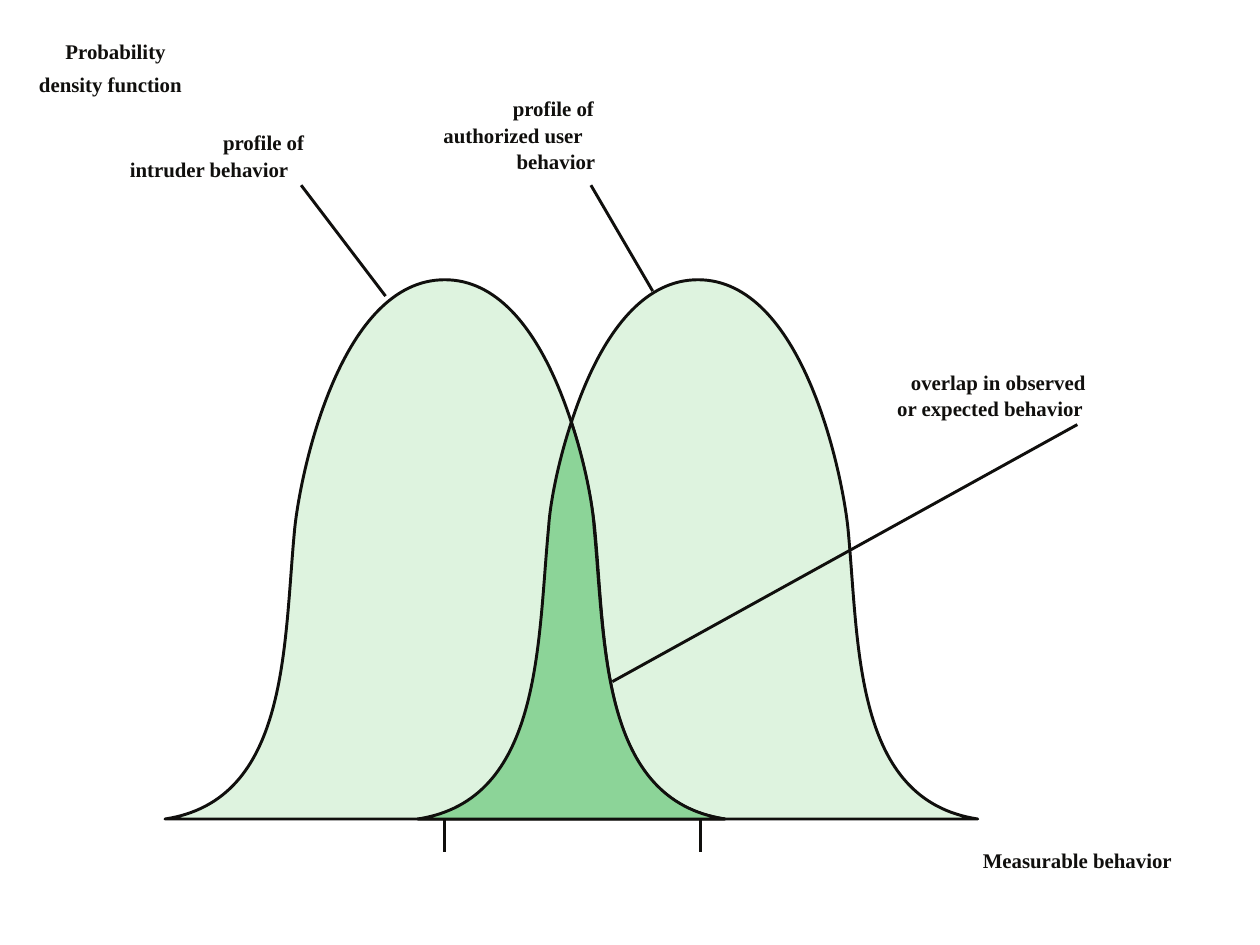
import pptx
import pptx.dml.color
import pptx.enum.shapes
import pptx.oxml
import pptx.oxml.ns
import pptx.util

INK = pptx.dml.color.RGBColor(0x10, 0x0F, 0x0D)
PALE_GREEN = pptx.dml.color.RGBColor(0xDE, 0xF3, 0xDF)
GREEN = pptx.dml.color.RGBColor(0x8C, 0xD4, 0x98)
LINE_WIDTH = pptx.util.Pt(1.67)

presentation = pptx.Presentation()
presentation.slide_width = pptx.util.Inches(10)
presentation.slide_height = pptx.util.Inches(7.5)
slide = presentation.slides.add_slide(presentation.slide_layouts[6])

# The slide is a grid of 10 columns by 7.5 rows with square cells.
CELL = presentation.slide_width // 10
LABEL_HEIGHT = 0.28
BASELINE = 6.5
PEAK = 2.22
INTRUDER_CENTER, USER_CENTER = 3.53, 5.54
OVERLAP_CENTER = (INTRUDER_CENTER + USER_CENTER) / 2
CROSSING = 3.35


def cells(*values):
    """Convert grid cells to EMU."""
    return [round(value * CELL) for value in values]


def add_hill(center, left_side, fill_color):
    """Draw a symmetric hill from (distance, row) points: top, then two Bezier triples."""
    left = [cells(center - distance, row) for distance, row in left_side]
    right = [cells(center + distance, row) for distance, row in reversed(left_side)]
    builder = slide.shapes.build_freeform(*left[0])
    builder.add_line_segments(left[1:] + right, close=True)
    shape = builder.convert_to_shape()

    # Points 0-2 and 3-5 curve down the left, 6 is the base, 7-9 and 10-12 curve up the right.
    segments = shape.element.findall(".//" + pptx.oxml.ns.qn("a:lnTo"))
    for start in (0, 3, 7, 10):
        curve = pptx.oxml.parse_xml(
            "<a:cubicBezTo %s/>" % pptx.oxml.ns.nsdecls("a"))
        segments[start].addprevious(curve)
        for segment in segments[start:start + 3]:
            curve.append(segment[0])
            segment.getparent().remove(segment)

    shape.shadow.inherit = False
    shape.fill.solid()
    shape.fill.fore_color.rgb = fill_color
    shape.line.color.rgb = INK
    shape.line.width = LINE_WIDTH


bell_side = [
    (0, PEAK), (0.82, PEAK), (1.14, 3.72), (1.19, 4.19),
    (1.28, 5.12), (1.23, 6.35), (2.22, BASELINE),
]
overlap_side = [
    (0, CROSSING), (0.11, 3.68), (0.17, 4.01), (0.18, 4.18),
    (0.27, 5.11), (0.23, 6.35), (1.22, BASELINE),
]
add_hill(USER_CENTER, bell_side, PALE_GREEN)
add_hill(INTRUDER_CENTER, bell_side, PALE_GREEN)
add_hill(OVERLAP_CENTER, overlap_side, GREEN)

# Axis ticks, then leaders from the labels to the curves
lines = [
    (3.53, 6.76, 3.53, 6.49),
    (5.56, 6.76, 5.56, 6.49),
    (2.39, 1.47, 3.06, 2.35),
    (4.69, 1.47, 5.18, 2.31),
    (8.55, 3.37, 4.86, 5.41),
]
for ends in lines:
    connector = slide.shapes.add_connector(
        pptx.enum.shapes.MSO_CONNECTOR.STRAIGHT, *cells(*ends))
    connector.line.color.rgb = INK
    connector.line.width = LINE_WIDTH
    connector.element.spPr.append(pptx.oxml.parse_xml(
        "<a:effectLst %s/>" % pptx.oxml.ns.nsdecls("a")))

labels = [
    ("Probability", 0.52, 0.31, 0.96),
    ("density function", 0.31, 0.57, 1.36),
    ("profile of", 1.77, 1.03, 0.78),
    ("intruder behavior", 1.03, 1.24, 1.52),
    ("profile of", 4.07, 0.76, 0.78),
    ("authorized user", 3.52, 0.97, 1.33),
    ("behavior", 4.1, 1.18, 0.75),
    ("overlap in observed", 7.23, 2.93, 1.67),
    ("or expected behavior", 7.12, 3.14, 1.78),
    ("Measurable behavior", 7.8, 6.73, 1.81),
]
for text, left, top, width in labels:
    text_box = slide.shapes.add_textbox(*cells(left, top, width, LABEL_HEIGHT))
    text_frame = text_box.text_frame
    text_frame.margin_left = text_frame.margin_right = 0
    text_frame.margin_top = text_frame.margin_bottom = 0
    text_frame.word_wrap = True
    text_frame.text = text
    font = text_frame.paragraphs[0].runs[0].font
    font.name = "Times New Roman"
    font.size = pptx.util.Pt(11.9)
    font.bold = True
    font.color.rgb = INK

presentation.save("out.pptx")
